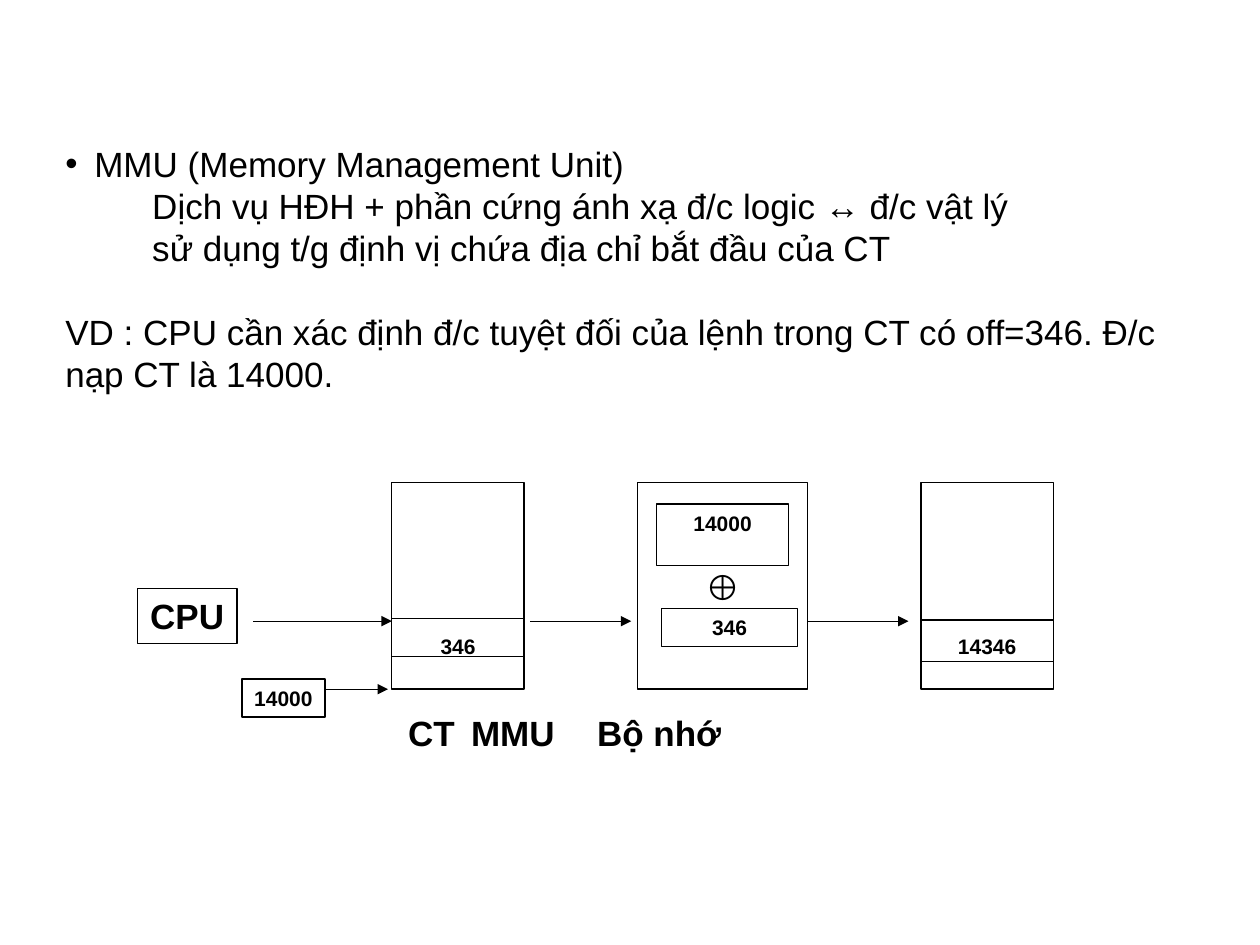
from lxml import etree
from pptx import Presentation
from pptx import util as u
from pptx.dml.color import RGBColor
from pptx.enum import shapes, text
from pptx.oxml import ns

COLORS = {"ink": "000000", "paper": "FFFFFF"}
FONT = "Arial"
LINE_WIDTH = u.Pt(0.75)
BLOCK_TOP, BLOCK_HEIGHT = 3.83, 1.64
FLOW_Y = 4.93


def color(name):
    return RGBColor.from_string(COLORS[name])


def add_child(parent, tag, **attributes):
    return etree.SubElement(parent, ns.qn(tag), attributes)


def write(paragraph, content, size=20, bold=False, align=None, before=0,
          left=0, bullet=None, tabs=()):
    """Write one formatted paragraph; left, bullet hang and tabs in inches."""
    run = paragraph.add_run()
    run.text = content
    run.font.name = FONT
    run.font.size = u.Pt(size)
    run.font.bold = bold
    run.font.color.rgb = color("ink")
    paragraph.alignment = align
    paragraph.space_before = u.Pt(before)
    properties = paragraph._p.get_or_add_pPr()
    properties.set("marL", str(u.Inches(left)))
    properties.set("indent", str(u.Inches(-left if bullet else 0)))
    if bullet:
        add_child(properties, "a:buFont", typeface=FONT)
        add_child(properties, "a:buChar", char=bullet)
    if tabs:
        tab_list = add_child(properties, "a:tabLst")
        for position in tabs:
            add_child(tab_list, "a:tab", pos=str(u.Inches(position)), algn="l")


def add_text_box(slide, left, top, width, height, wrap=True):
    box = slide.shapes.add_textbox(*map(u.Inches, (left, top, width, height)))
    box.text_frame.word_wrap = wrap
    return box.text_frame


def add_box(slide, left, top, width, height, content, size=12, filled=True,
            text_top=0.05, wrap=True):
    """Outlined rectangle whose text starts text_top inches below its edge."""
    shape = slide.shapes.add_shape(shapes.MSO_SHAPE.RECTANGLE,
                                   *map(u.Inches, (left, top, width, height)))
    shape.shadow.inherit = False
    if filled:
        shape.fill.solid()
        shape.fill.fore_color.rgb = color("paper")
    else:
        shape.fill.background()
    shape.line.color.rgb = color("ink")
    shape.line.width = LINE_WIDTH
    frame = shape.text_frame
    frame.word_wrap = wrap
    frame.vertical_anchor = text.MSO_ANCHOR.TOP
    frame.margin_top = u.Inches(text_top)
    write(frame.paragraphs[0], content, size=size, bold=True,
          align=text.PP_ALIGN.CENTER)


def add_line(slide, start, end, y, arrow=False):
    line = slide.shapes.add_connector(shapes.MSO_CONNECTOR.STRAIGHT,
                                      *map(u.Inches, (start, y, end, y)))
    line.line.color.rgb = color("ink")
    line.line.width = LINE_WIDTH
    if arrow:
        add_child(line.line._get_or_add_ln(), "a:tailEnd", type="triangle")
    add_child(line._element.spPr, "a:effectLst")


def add_memory_column(slide, left, content, divider_ys, width=1.05):
    """Tall block with one cell marked off by two divider lines."""
    add_box(slide, left, BLOCK_TOP, width, BLOCK_HEIGHT, content, text_top=1.2)
    for y in divider_ys:
        add_line(slide, left, left + width, y)


def add_explanation(slide):
    frame = add_text_box(slide, 0.42, 1.08, 9.17, 2.1)
    lines = [
        ("MMU (Memory Management Unit)", {"left": 0.23, "bullet": "•"}),
        ("Dịch vụ HĐH + phần cứng ánh xạ đ/c logic ↔ đ/c vật lý", {"left": 0.69}),
        ("sử dụng t/g định vị chứa địa chỉ bắt đầu của CT", {"left": 0.69}),
        ("VD : CPU cần xác định đ/c tuyệt đối của lệnh trong CT có off=346. "
         "Đ/c nạp CT là 14000.", {"before": 24}),
    ]
    for index, (content, options) in enumerate(lines):
        paragraph = frame.add_paragraph() if index else frame.paragraphs[0]
        write(paragraph, content, **options)


def add_diagram(slide):
    # Program, MMU and main memory
    add_memory_column(slide, 3.11, "346", (4.91, 5.21))
    add_box(slide, 5.06, BLOCK_TOP, 1.35, BLOCK_HEIGHT, "⊕", size=20,
            text_top=0.66)
    add_box(slide, 5.21, 4, 1.05, 0.49, "14000")
    add_box(slide, 5.25, 4.83, 1.08, 0.3, "346", filled=False)
    add_memory_column(slide, 7.31, "14346", (4.92, 5.25))

    # CPU and load address
    add_box(slide, 1.09, 4.67, 0.79, 0.44, "CPU", size=20, filled=False, wrap=False)
    add_box(slide, 1.92, 5.39, 0.66, 0.3, "14000", filled=False, wrap=False)

    # Flow arrows
    for start, end in ((2.01, 3.11), (4.21, 5.01), (6.41, 7.21)):
        add_line(slide, start, end, FLOW_Y, arrow=True)
    add_line(slide, 2.58, 3.08, 5.47, arrow=True)

    # Captions under the blocks
    captions = add_text_box(slide, 3.14, 5.6, 5.17, 0.44, wrap=False)
    write(captions.paragraphs[0], "CT\tMMU\tBộ nhớ", bold=True, tabs=(2.22, 3.97))


def main():
    presentation = Presentation()
    presentation.slide_width = u.Inches(10)
    presentation.slide_height = u.Inches(7.5)
    slide = presentation.slides.add_slide(presentation.slide_layouts[6])
    add_explanation(slide)
    add_diagram(slide)
    presentation.save("out.pptx")


if __name__ == "__main__":
    main()
